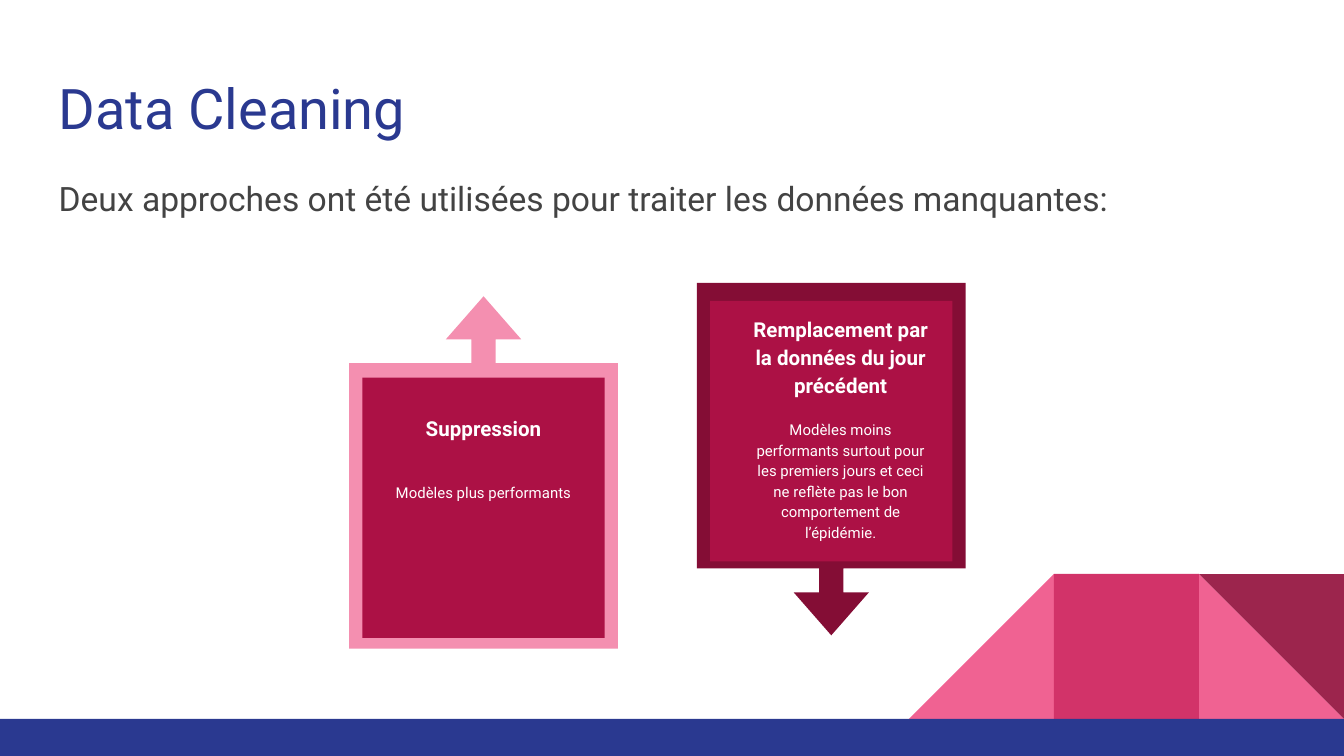
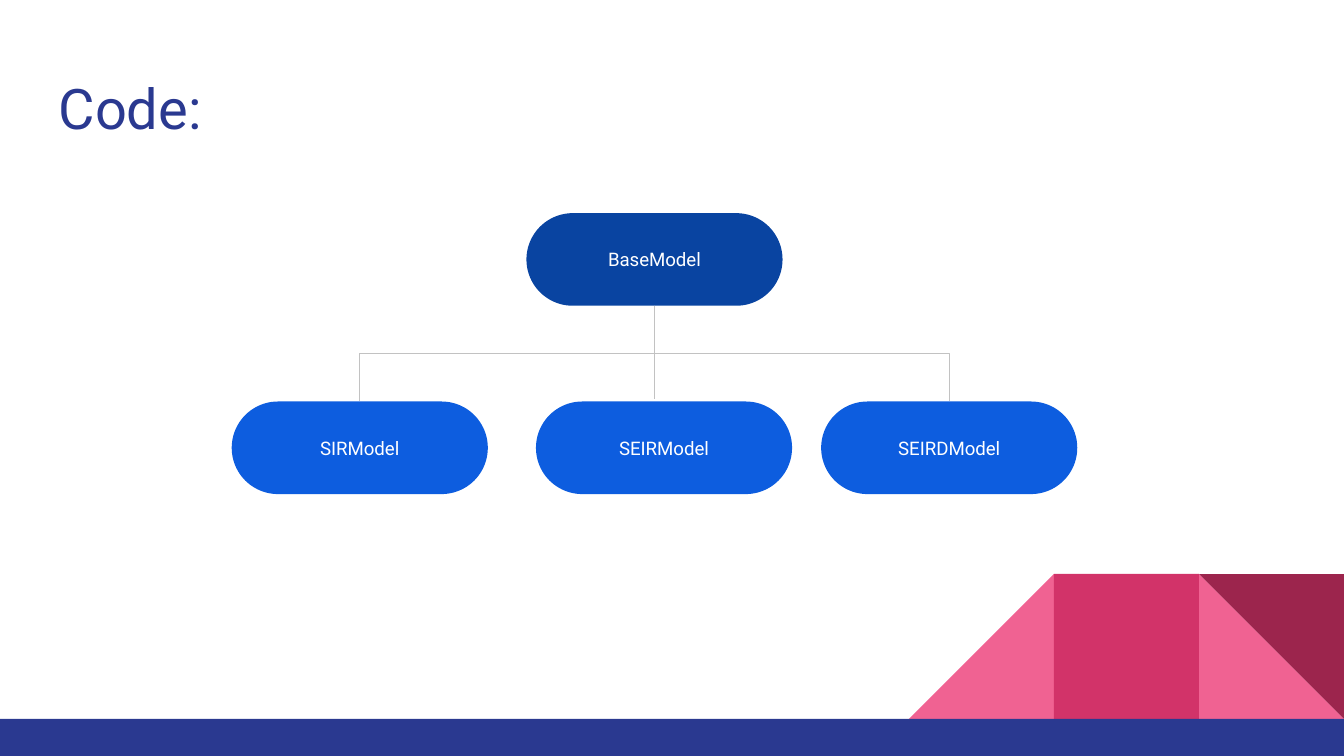
from lxml import etree
from pptx import Presentation
from pptx import util as u
from pptx.dml.color import RGBColor
from pptx.enum import shapes, text
from pptx.oxml.ns import qn

NAVY = RGBColor(0x2A, 0x39, 0x90)
GRAPHITE = RGBColor(0x43, 0x43, 0x43)
WHITE = RGBColor(0xFF, 0xFF, 0xFF)
PINK = RGBColor(0xF0, 0x62, 0x92)
RASPBERRY = RGBColor(0xD2, 0x33, 0x69)
WINE = RGBColor(0x9C, 0x25, 0x4D)
LIGHT_PINK = RGBColor(0xF4, 0x8F, 0xB0)
CRIMSON = RGBColor(0xAC, 0x11, 0x45)
BURGUNDY = RGBColor(0x84, 0x0D, 0x35)
DARK_BLUE = RGBColor(0x09, 0x44, 0xA1)
BLUE = RGBColor(0x0D, 0x5D, 0xDF)
SILVER = RGBColor(0xC2, 0xC2, 0xC2)

FONT = "Roboto"
WIDTH, HEIGHT = 25.4, 14.29
BAND_TOP = 13.59
TILE = 2.74
MARGIN, CONTENT_WIDTH = 0.86, 23.67
CALLOUT_ADJUSTMENTS = (0.09, 0.14, 0.16, 0.81)
PILL_WIDTH, PILL_HEIGHT = 4.84, 1.75

Preset = shapes.MSO_SHAPE
CENTER = text.PP_ALIGN.CENTER


def apply(target, values):
    for name, value in values.items():
        setattr(target, name, value)


class Deck:
    def __init__(self):
        self.presentation = Presentation()
        apply(self.presentation, {"slide_width": u.Cm(WIDTH), "slide_height": u.Cm(HEIGHT)})
        self.slide = None

    def add_slide(self, title):
        self.slide = self.presentation.slides.add_slide(self.presentation.slide_layouts[6])
        top = BAND_TOP - TILE
        tiles = [
            (Preset.RIGHT_TRIANGLE, 1, PINK, 0),
            (Preset.RIGHT_TRIANGLE, 3, PINK, 270),
            (Preset.RECTANGLE, 2, RASPBERRY, 0),
            (Preset.RIGHT_TRIANGLE, 1, WINE, 180),
        ]
        for preset, column, color, rotation in tiles:
            self.shape(preset, (WIDTH - column * TILE, top, TILE, TILE), color, rotation)
        self.shape(Preset.RECTANGLE, (0, BAND_TOP, WIDTH, HEIGHT - BAND_TOP), NAVY)
        self.text_box((MARGIN, 1.14, CONTENT_WIDTH, 1.68), [(title, {"size": u.Pt(30)}, {})], NAVY)

    def shape(self, preset, box, color, rotation=0, adjustments=()):
        shape = self.slide.shapes.add_shape(preset, *map(u.Cm, box))
        shape.shadow.inherit = False
        shape.fill.solid()
        shape.fill.fore_color.rgb = color
        shape.line.fill.background()
        shape.rotation = rotation
        for index, value in enumerate(adjustments):
            shape.adjustments[index] = value
        return shape

    def fill_text(self, frame, paragraphs, color):
        frame.word_wrap = True
        for index, (content, font, layout) in enumerate(paragraphs):
            paragraph = frame.add_paragraph() if index else frame.paragraphs[0]
            apply(paragraph, layout)
            run = paragraph.add_run()
            run.text = content
            apply(run.font, {"name": FONT, **font})
            run.font.color.rgb = color

    def text_box(self, box, paragraphs, color):
        frame = self.slide.shapes.add_textbox(*map(u.Cm, box)).text_frame
        apply(frame, {side: u.Cm(0.25) for side in
                      ("margin_left", "margin_right", "margin_top", "margin_bottom")})
        self.fill_text(frame, paragraphs, color)

    def callout(self, frame_box, panel_box, text_box, color, rotation, heading, detail, gap):
        self.shape(Preset.RIGHT_ARROW_CALLOUT, frame_box, color, rotation, CALLOUT_ADJUSTMENTS)
        self.shape(Preset.SNIP_1_RECTANGLE, panel_box, CRIMSON, adjustments=(0,))
        layout = {"alignment": CENTER, "line_spacing": 1.15}
        self.text_box(text_box, [
            (heading, {"size": u.Pt(11), "bold": True}, layout),
            (detail, {"size": u.Pt(8), "bold": False}, {**layout, "space_before": u.Pt(gap)}),
        ], WHITE)

    def pill(self, name, left, top, color):
        box = (left, top, PILL_WIDTH, PILL_HEIGHT)
        shape = self.shape(Preset.ROUNDED_RECTANGLE, box, color, adjustments=(0.5,))
        shape.text_frame.vertical_anchor = text.MSO_ANCHOR.MIDDLE
        self.fill_text(shape.text_frame, [(name, {"size": u.Pt(10)}, {"alignment": CENTER})], WHITE)

    def branch(self, start_x, start_y, end_x, end_y):
        middle_x, middle_y = (start_x + end_x) / 2, (start_y + end_y) / 2
        half_drop, half_shift = (end_y - start_y) / 2, (start_x - end_x) / 2
        connector = self.slide.shapes.add_connector(
            shapes.MSO_CONNECTOR.ELBOW,
            u.Cm(middle_x - half_drop), u.Cm(middle_y - half_shift),
            u.Cm(middle_x + half_drop), u.Cm(middle_y + half_shift))
        connector.rotation = 90
        connector.line.color.rgb = SILVER
        connector.line.width = u.Pt(0.75)
        properties = connector._element.find(qn("p:spPr"))
        etree.SubElement(properties, qn("a:effectLst"))


def build_data_cleaning(deck):
    deck.add_slide("Data Cleaning")
    deck.text_box((MARGIN, 3, CONTENT_WIDTH, 9.27), [(
        "Deux approches ont été utilisées pour traiter les données manquantes:",
        {"size": u.Pt(18)}, {"line_spacing": 1.15, "space_after": u.Pt(16)})], GRAPHITE)
    deck.callout((5.81, 6.39, 6.66, 5.08), (6.85, 7.14, 4.58, 4.92), (7.22, 7.55, 3.84, 4.09),
                 LIGHT_PINK, 270, "Suppression", "Modèles plus performants", 21.5)
    deck.callout((12.38, 6.14, 6.66, 5.08), (13.42, 5.69, 4.58, 4.92), (13.97, 5.67, 3.84, 4.09),
                 BURGUNDY, 90, "Remplacement par la données du jour précédent",
                 "Modèles moins performants surtout pour les premiers jours et ceci "
                 "ne reflète pas le bon comportement de l’épidémie.", 10.8)


def build_code(deck):
    deck.add_slide("Code:")
    base_left, base_top, child_top = 9.95, 4.03, 7.59
    base_center, base_bottom = base_left + PILL_WIDTH / 2, base_top + PILL_HEIGHT
    outer_models = {"SEIRDModel": 15.52, "SIRModel": 4.38}
    deck.pill("BaseModel", base_left, base_top, DARK_BLUE)
    for name, left in outer_models.items():
        deck.pill(name, left, child_top, BLUE)
        deck.branch(base_center, base_bottom, left + PILL_WIDTH / 2, child_top)
    deck.branch(base_center, (base_bottom + child_top) / 2, base_center, 7.54)
    deck.pill("SEIRModel", 10.13, child_top, BLUE)


def main():
    deck = Deck()
    build_data_cleaning(deck)
    build_code(deck)
    deck.presentation.save("out.pptx")


if __name__ == "__main__":
    main()
